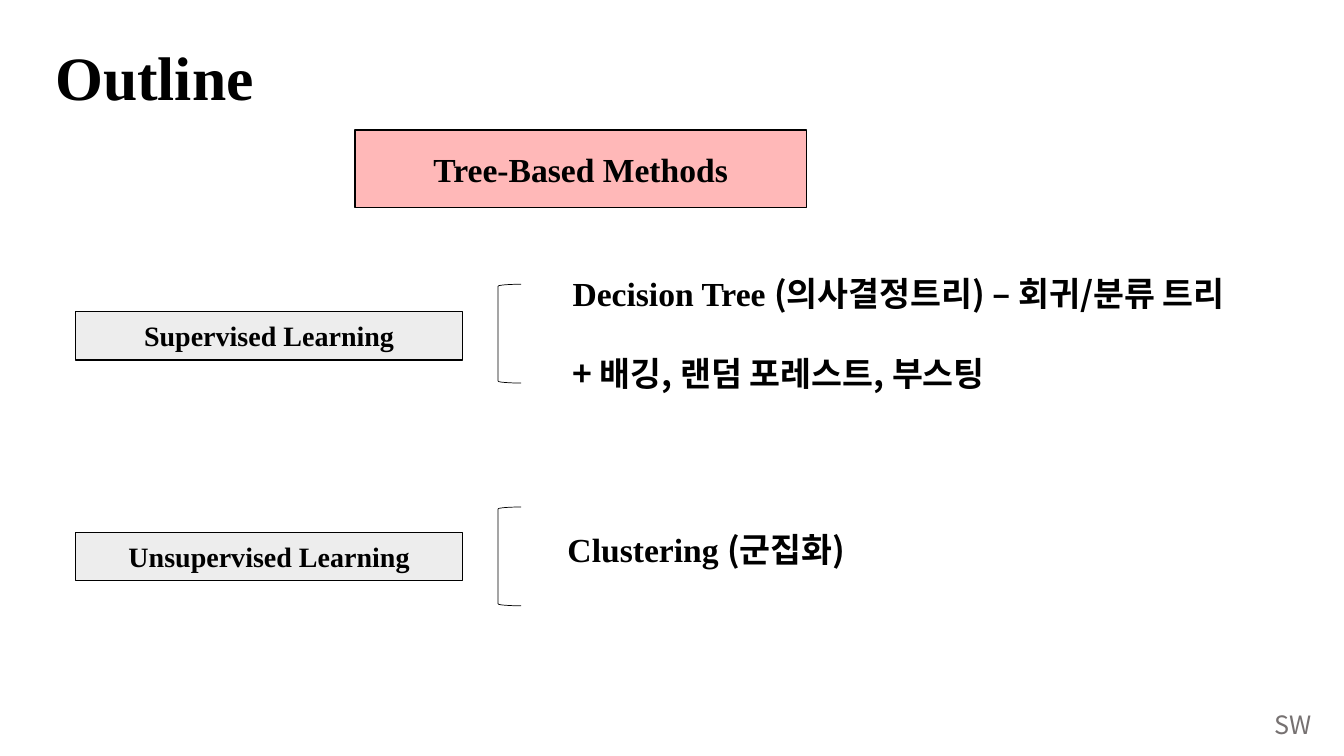
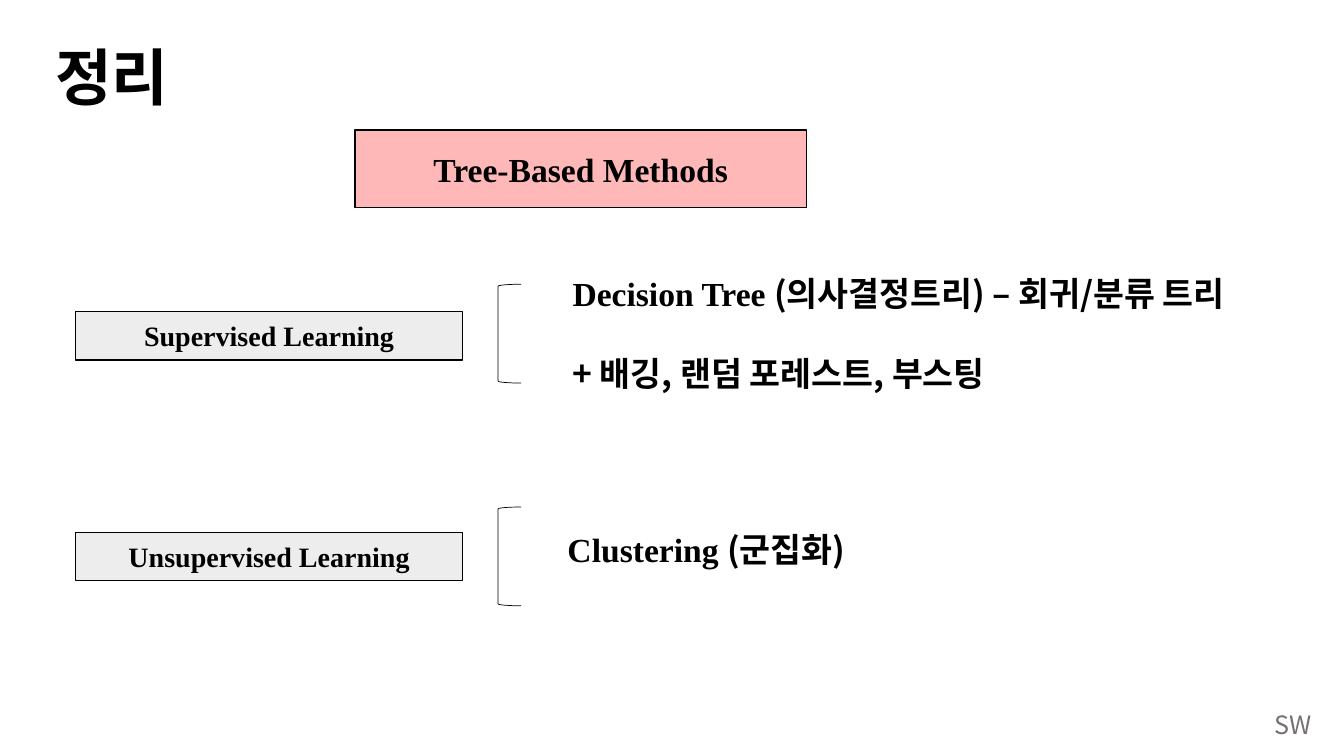
from lxml import etree
from pptx import Presentation
from pptx.dml.color import RGBColor
from pptx.enum.shapes import MSO_SHAPE
from pptx.enum.text import MSO_ANCHOR, PP_ALIGN
from pptx.oxml.ns import qn
from pptx.util import Inches, Pt

LATIN, KOREAN = "Times New Roman", "Noto Sans CJK KR"
BLACK, GREY, LABEL_FILL, HEADING_FILL = "000000", "767171", "EDEDED", "FF0000"

TITLES = ["Outline", "정리"]
# Each row: label, label top, bracket top, methods box (left, top, width, height), lines of (text, font)
ROWS = [
    ("Supervised Learning", 3.09, 2.82, (5.58, 2.66, 7.18, 1.31),
     [[("Decision Tree ", LATIN), ("(의사결정트리) – 회귀/분류 트리", KOREAN)],
      [("+ 배깅, 랜덤 포레스트, 부스팅", KOREAN)]]),
    ("Unsupervised Learning", 5.28, 5.03, (5.53, 5.2, 3.05, 0.5),
     [[("Clustering ", LATIN), ("(군집화)", KOREAN)]]),
]


def color(hex_text):
    return RGBColor.from_string(hex_text)


def write(shape, lines, size, ink=BLACK, bold=True, align=PP_ALIGN.LEFT, anchor=MSO_ANCHOR.MIDDLE):
    """Fill a shape with lines, each a list of (text, font) spans."""
    frame = shape.text_frame
    frame.word_wrap = True
    frame.vertical_anchor = anchor
    for index, line in enumerate(lines):
        para = frame.add_paragraph() if index else frame.paragraphs[0]
        para.alignment = align
        para.font.size, para.font.bold = Pt(size), bold
        para.font.color.rgb = color(ink)
        if index:
            para.space_before = Pt(28)
        for text, font in line:
            span = para.add_run()
            span.text = text
            span.font.name = font
            east_asian = etree.SubElement(span.font._element, qn("a:ea"))
            east_asian.set("typeface", KOREAN)


deck = Presentation()
deck.slide_width, deck.slide_height = Inches(13.33), Inches(7.5)

for title in TITLES:
    page = deck.slides.add_slide(deck.slide_layouts[6])
    shapes = page.shapes

    # Footer mark and title
    footer = shapes.add_textbox(Inches(12.54), Inches(6.99), Inches(0.58), Inches(0.4))
    write(footer, [[("SW", KOREAN)]], 18, GREY, bold=False, anchor=MSO_ANCHOR.TOP)
    footer.text_frame.word_wrap = False
    title_box = shapes.add_textbox(Inches(0.45), Inches(0.07), Inches(11.5), Inches(1.45))
    write(title_box, [[(title, LATIN)]], 44)
    title_box.text_frame.paragraphs[0].line_spacing = 0.9

    # Learning types, each with a bracket and its methods
    labels = []
    for label, label_top, bracket_top, methods_place, methods in ROWS:
        labels.append((label, 20, LABEL_FILL, (0.75, label_top, 3.84, 0.48)))
        bracket = shapes.add_shape(MSO_SHAPE.LEFT_BRACKET, Inches(4.94), Inches(bracket_top),
                                   Inches(0.23), Inches(0.98))
        bracket.shadow.inherit = False
        bracket.fill.background()
        bracket.line.color.rgb = color(BLACK)
        bracket.line.width = Pt(0.5)
        methods_box = shapes.add_textbox(*map(Inches, methods_place))
        write(methods_box, methods, 24, anchor=MSO_ANCHOR.TOP)

    # Framed labels, with the heading last
    labels.append(("Tree-Based Methods", 24, HEADING_FILL, (3.52, 1.29, 4.48, 0.77)))
    for text, size, fill, place in labels:
        box = shapes.add_shape(MSO_SHAPE.RECTANGLE, *map(Inches, place))
        box.shadow.inherit = False
        box.fill.solid()
        box.fill.fore_color.rgb = color(fill)
        box.line.color.rgb = color(BLACK)
        box.line.width = Pt(1)
        write(box, [[(text, LATIN)]], size, align=PP_ALIGN.CENTER)

    # The heading is 28% opaque
    heading_color = box.fill._xPr.find(qn("a:solidFill"))[0]
    etree.SubElement(heading_color, qn("a:alpha")).set("val", "28000")

deck.save("out.pptx")
